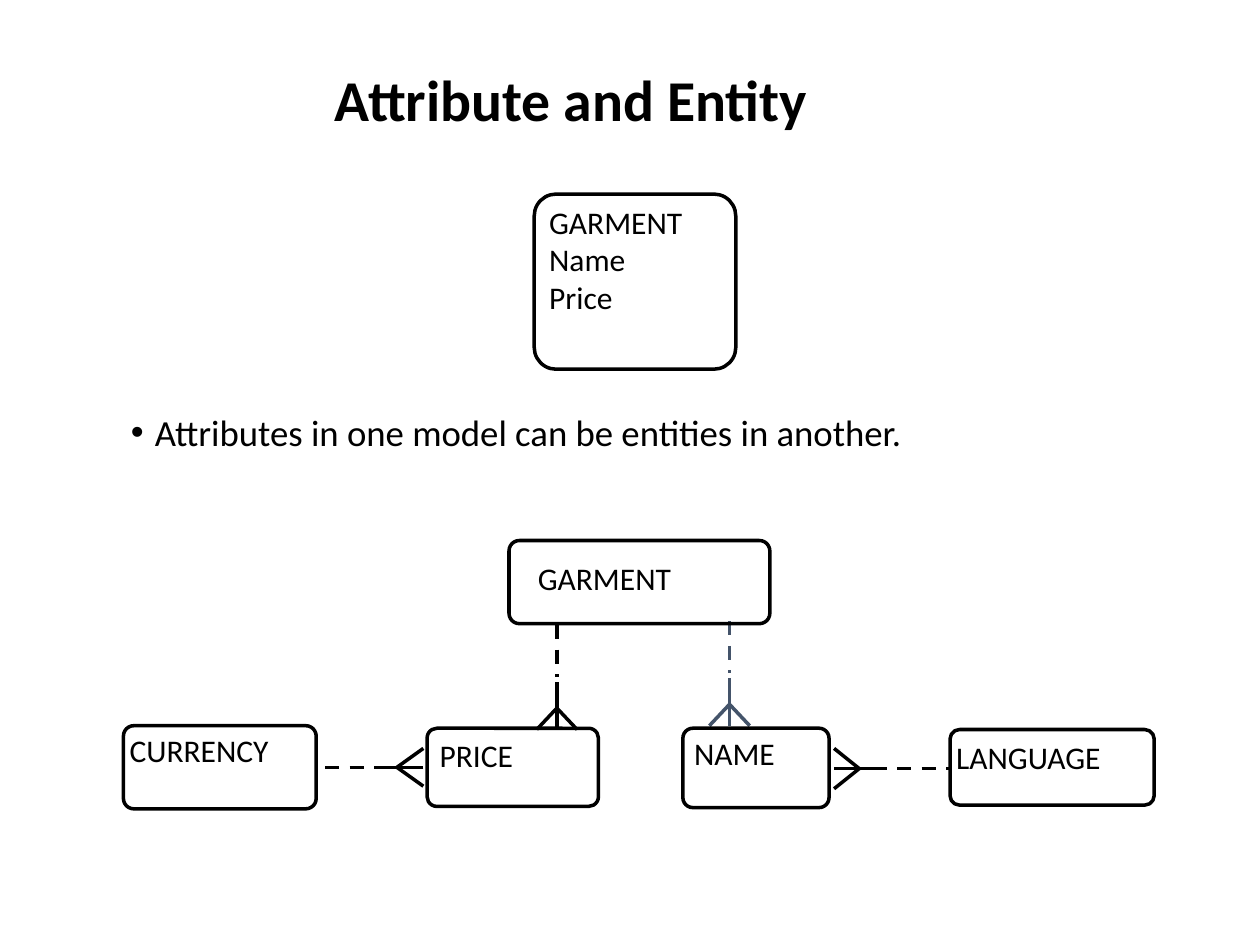
"""Build the slide on attributes that become entities in another model."""
from dataclasses import dataclass

from lxml.etree import SubElement
from pptx import Presentation
from pptx.dml.color import RGBColor
from pptx.enum.dml import MSO_LINE
from pptx.enum.shapes import MSO_CONNECTOR, MSO_SHAPE
from pptx.enum.text import MSO_ANCHOR as Anchor, PP_ALIGN as Align
from pptx.oxml.ns import qn
from pptx.util import Inches, Pt

COLORS = {"ink": "000000", "slate": "44546A"}
LINE_WIDTH = Pt(2)


@dataclass
class Entity:
    box: tuple[float, float, float, float]
    label_box: tuple[float, float, float, float]
    label: str


@dataclass
class Relation:
    tip: tuple[float, float]
    direction: tuple[int, int]
    reach: float
    spread: float
    stem: float
    dash: tuple[float, float]
    color: str = "ink"


ENTITIES = [
    Entity((4.04, 4.29, 2.07, 0.66), (4.17, 4.39, 1.65, 0.4), "GARMENT"),
    Entity((0.98, 5.76, 1.53, 0.66), (0.93, 5.75, 1.86, 0.4), "CURRENCY"),
    Entity((3.39, 5.78, 1.36, 0.62), (3.39, 5.79, 1.02, 0.4), "PRICE"),
    Entity((7.54, 5.79, 1.62, 0.6), (7.49, 5.81, 1.85, 0.4), "LANGUAGE"),
    Entity((5.42, 5.78, 1.16, 0.63), (5.41, 5.78, 1.02, 0.4), "NAME"),
    Entity((4.24, 1.54, 1.6, 1.39), (4.26, 1.56, 1.65, 1), "GARMENT\vName\vPrice"),
]
RELATIONS = [
    Relation((5.79, 5.76), (0, -1), 0.17, 0.16, 0.38, (0.83, 0.42), "slate"),
    Relation((4.42, 5.79), (0, -1), 0.17, 0.16, 0.38, (0.83, 0.42)),
    Relation((3.36, 6.09), (-1, 0), 0.21, 0.15, 0.35, (0.78, 0.34)),
    Relation((6.62, 6.1), (1, 0), 0.2, 0.16, 0.42, (0.5, 0.93)),
]


def color(name: str) -> RGBColor:
    return RGBColor.from_string(COLORS[name])


def add_text(shapes, box, text: str, size: float, bold=False, anchor=Anchor.TOP, **layout):
    frame = shapes.add_textbox(*map(Inches, box)).text_frame
    frame.word_wrap = True
    frame.vertical_anchor = anchor
    paragraph = frame.paragraphs[0]
    paragraph.text = text
    for key, value in layout.items():
        setattr(paragraph, key, value)
    for run in paragraph.runs:
        for key, value in {"name": "Calibri", "size": Pt(size), "bold": bold}.items():
            setattr(run.font, key, value)
        run.font.color.rgb = color("ink")
    return paragraph


def add_bullet(paragraph, indent: float) -> None:
    properties = paragraph._p.get_or_add_pPr()
    properties.set("marL", str(Inches(indent)))
    properties.set("indent", str(-Inches(indent)))
    SubElement(properties, qn("a:buFont")).set("typeface", "Arial")
    SubElement(properties, qn("a:buChar")).set("char", "•")


def add_entity(shapes, entity: Entity) -> None:
    outline = shapes.add_shape(MSO_SHAPE.ROUNDED_RECTANGLE, *map(Inches, entity.box))
    outline.adjustments[0] = 0.125
    outline.shadow.inherit = False
    outline.fill.background()
    outline.line.color.rgb = color("ink")
    outline.line.width = LINE_WIDTH
    add_text(shapes, entity.label_box, entity.label, 18)


def add_relation(shapes, relation: Relation) -> None:
    (x, y), (dx, dy) = relation.tip, relation.direction

    def point(along: float, across: float = 0) -> tuple[float, float]:
        return x + dx * along - dy * across, y + dy * along + dx * across

    apex = point(relation.reach)
    strokes = [
        (apex, point(0, relation.spread), None),
        (apex, point(0, -relation.spread), None),
        (point(relation.dash[0]), point(relation.dash[1]), MSO_LINE.DASH),
        (point(0), point(relation.stem), None),
    ]
    for start, end, dash_style in strokes:
        stroke = shapes.add_connector(MSO_CONNECTOR.STRAIGHT, *map(Inches, start + end))
        stroke.line.color.rgb = color(relation.color)
        stroke.line.width = LINE_WIDTH
        stroke.line.dash_style = dash_style
        SubElement(stroke._element.spPr, qn("a:effectLst"))


def build() -> None:
    deck = Presentation()
    deck.slide_width, deck.slide_height = Inches(10), Inches(7.5)
    shapes = deck.slides.add_slide(deck.slide_layouts[6]).shapes
    add_text(shapes, (0.5, 0.3, 8.17, 1.03), "Attribute and Entity ", 33, bold=True,
             anchor=Anchor.MIDDLE, alignment=Align.CENTER, line_spacing=0.9)
    statement = add_text(shapes, (0.94, 3.27, 8.06, 0.39),
                         "Attributes in one model can be entities in another.", 21,
                         line_spacing=0.8, space_before=Pt(7.5))
    add_bullet(statement, 0.19)
    for relation in RELATIONS:
        add_relation(shapes, relation)
    for entity in ENTITIES:
        add_entity(shapes, entity)
    deck.save("out.pptx")


build()
